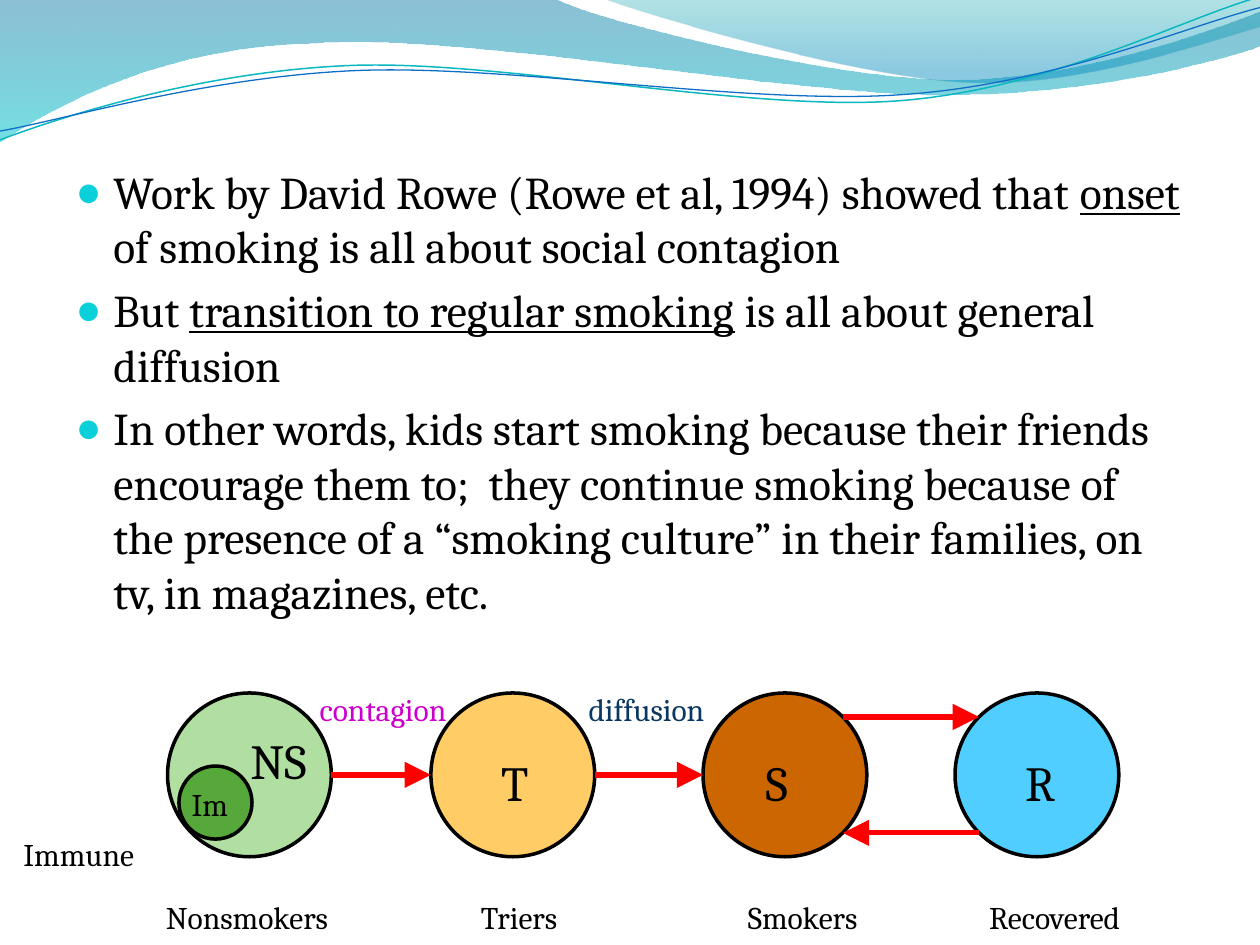
from dataclasses import dataclass
from math import cos, radians, sin

from lxml.etree import Element, SubElement
from pptx import Presentation
from pptx.dml.color import RGBColor
from pptx.enum.shapes import MSO_CONNECTOR, MSO_SHAPE
from pptx.enum.text import MSO_ANCHOR, MSO_AUTO_SIZE, PP_ALIGN
from pptx.oxml import parse_xml
from pptx.oxml.ns import nsdecls, qn
from pptx.util import Emu, Pt


@dataclass(frozen=True)
class Theme:
    """Colours, font and type sizes of the deck."""

    font: str = "Cambria"
    body: int = 26
    symbol: int = 28
    label: int = 18
    ink: str = "000000"
    bullet: str = "0BD0D9"
    arrow: str = "FF0000"
    contagion: str = "CC00CC"
    diffusion: str = "083763"
    nonsmoker: str = "B0DFA1"
    immune: str = "55A839"
    trier: str = "FFCC66"
    smoker: str = "CC6600"
    recovered: str = "4FCEFF"
    teal_line: str = "0AB8BF"
    blue_line: str = "0F6FC6"
    wide_wave: tuple = ((0, "0074A1", 45), (1, "00C6CF", 55))
    right_wave: tuple = ((0, "00A1A9", 30), (0.8, "008BBF", 45))


def px(length):
    """Turn px, at 100 to the inch, into EMU."""
    return Emu(round(length * 9144))


def turn(point, centre, degrees):
    """Turn a point clockwise about a centre."""
    across, down = point[0] - centre[0], point[1] - centre[1]
    angle = radians(degrees)
    return (centre[0] + across * cos(angle) - down * sin(angle),
            centre[1] + across * sin(angle) + down * cos(angle))


class SlideMaker:
    """Holds the theme and the current slide, and draws each kind of element."""

    def __init__(self, page, theme):
        self.page = page
        self.theme = theme

    def style(self, font, size, colour):
        """Apply the theme font with a size and colour."""
        font.name = self.theme.font
        font.size = Pt(size)
        font.color.rgb = RGBColor.from_string(colour)

    def freeform(self, start, pieces, closed):
        """Draw an outline of straight (one-point) and curved (three-point) pieces."""
        corners = [(px(x), px(y)) for piece in pieces for x, y in piece]
        builder = self.page.shapes.build_freeform(px(start[0]), px(start[1]))
        builder.add_line_segments(corners, close=closed)
        shape = builder.convert_to_shape()
        shape.shadow.inherit = False
        segments = iter(list(shape._element.iter(qn("a:lnTo"))))
        for piece in pieces:
            members = [next(segments) for _ in piece]
            if len(piece) == 3:
                curve = Element(qn("a:cubicBezTo"))
                members[0].addprevious(curve)
                for member in members:
                    curve.append(member[0])
                    member.getparent().remove(member)
        return shape

    def wave(self, start, pieces, stops):
        """Draw a see-through band shaded from top to bottom."""
        shape = self.freeform(start, pieces, True)
        shape.line.fill.background()
        shape.fill.gradient()
        shape.fill.gradient_angle = 270
        for stop, (position, colour, opacity) in zip(shape.fill.gradient_stops, stops):
            stop.position = position
            stop.color.rgb = RGBColor.from_string(colour)
        for element, stop in zip(shape._element.iter(qn("a:srgbClr")), stops):
            SubElement(element, qn("a:alpha"), val=str(stop[2] * 1000))

    def strand(self, start, pieces, centre, colour, width):
        """Draw a thin curved line in a frame tilted about its centre."""
        tilt = 2.7
        level = [[turn(point, centre, tilt) for point in piece] for piece in pieces]
        shape = self.freeform(turn(start, centre, tilt), level, False)
        shape.rotation = 360 - tilt
        shape.fill.background()
        shape.line.color.rgb = RGBColor.from_string(colour)
        shape.line.width = Pt(width)

    def bullets(self, left, top, width, height, items):
        """Fill the body placeholder; each item is (text, underlined) spans."""
        box = self.page.placeholders[1]
        self.page.shapes._spTree.append(box._element)
        box.left, box.top, box.width, box.height = map(px, (left, top, width, height))
        frame = box.text_frame
        frame.auto_size = MSO_AUTO_SIZE.NONE
        frame.vertical_anchor = MSO_ANCHOR.TOP
        for index, spans in enumerate(items):
            para = frame.add_paragraph() if index else frame.paragraphs[0]
            properties = para._p.get_or_add_pPr()
            properties.set("marL", str(px(30)))
            properties.set("indent", str(px(-30)))
            for xml in (
                f'<a:buClr {nsdecls("a")}><a:srgbClr val="{self.theme.bullet}"/></a:buClr>',
                f'<a:buSzPct {nsdecls("a")} val="95000"/>',
                f'<a:buChar {nsdecls("a")} char="●"/>',
            ):
                properties.append(parse_xml(xml))
            para.space_before = Pt(5.2 if index else 0)
            self.style(para.font, self.theme.body, self.theme.ink)
            for text, underlined in spans:
                span = para.add_run()
                span.text = text
                if underlined:
                    span.font.underline = True

    def circle(self, left, top, size, colour):
        """Draw a filled circle with a dark rim."""
        shape = self.page.shapes.add_shape(MSO_SHAPE.OVAL, px(left), px(top), px(size), px(size))
        shape.shadow.inherit = False
        shape.fill.solid()
        shape.fill.fore_color.rgb = RGBColor.from_string(colour)
        shape.line.color.rgb = RGBColor.from_string(self.theme.ink)
        shape.line.width = Pt(2)

    def arrow(self, start, end, height):
        """Draw a level arrow with a large head."""
        connector = self.page.shapes.add_connector(
            MSO_CONNECTOR.STRAIGHT, px(start), px(height), px(end), px(height))
        connector.line.color.rgb = RGBColor.from_string(self.theme.arrow)
        connector.line.width = Pt(3)
        properties = connector._element.spPr
        SubElement(properties.find(qn("a:ln")), qn("a:tailEnd"), type="triangle", w="lg", len="lg")
        SubElement(properties, qn("a:effectLst"))

    def label(self, text, left, top, width, size, colour):
        """Write one centred line of text."""
        height = 57 if size == self.theme.symbol else 40
        box = self.page.shapes.add_textbox(px(left), px(top), px(width), px(height))
        frame = box.text_frame
        frame.word_wrap = True
        frame.auto_size = MSO_AUTO_SIZE.SHAPE_TO_FIT_TEXT
        para = frame.paragraphs[0]
        para.text = text
        para.alignment = PP_ALIGN.CENTER
        self.style(para.font, size, colour)


def main():
    """Build the slide and save it."""
    deck = Presentation()
    deck.slide_width, deck.slide_height = px(1000), px(750)
    page = deck.slides.add_slide(deck.slide_layouts[1])
    title = page.shapes.title._element
    title.getparent().remove(title)
    theme = Theme()
    maker = SlideMaker(page, theme)

    maker.wave((0, 0), (
        ((440, -1),), ((476, 17), (664, 63), (758, 63)), ((853, 63), (958, 26), (1000, 9)),
        ((1001, 36),), ((983, 44), (870, 76), (746, 75)), ((622, 75), (382, 28), (257, 34)),
        ((129, 36), (46, 83), (-1, 113))), theme.wide_wave)
    maker.wave((479, -1), (
        ((509, 11), (682, 62), (769, 65)), ((856, 69), (961, 32), (1000, 21)),
        ((1000, 0),)), theme.right_wave)
    maker.strand((0, 111), (
        ((48, 93), (158, 57), (277, 52)), ((395, 47), (593, 89), (713, 80)),
        ((833, 71), (938, 15), (998, -2))), (499, 57.5), theme.teal_line, 0.85)
    maker.strand((0, 104), (
        ((47, 96), (164, 61), (283, 56)), ((403, 51), (597, 84), (717, 75)),
        ((836, 67), (941, 21), (1000, 6))), (499.5, 59), theme.blue_line, 0.75)

    maker.bullets(50, 125, 900, 480, (
        (("Work by David Rowe (Rowe et al, 1994) showed that ", False), ("onset ", True),
         ("of smoking is all about social contagion", False)),
        (("But ", False), ("transition to regular smoking", True),
         (" is all about general diffusion", False)),
        (("In other words, kids start smoking because their friends encourage them to;  they continue "
          "smoking because of the presence of a “smoking culture” in their families, on tv, "
          "in magazines, etc.", False),),
    ))

    for left, colour, name, name_left in (
        (133, theme.nonsmoker, "Nonsmokers", 92), (342, theme.trier, "Triers", 308),
        (558, theme.smoker, "Smokers", 533), (758, theme.recovered, "Recovered", 733),
    ):
        maker.circle(left, 550, 130, colour)
        maker.label(name, name_left, 708, 208, theme.label, theme.ink)
    maker.circle(142, 608, 58, theme.immune)
    for start, end, height in ((263, 342, 615), (472, 558, 615), (669, 777, 569), (777, 669, 661)):
        maker.arrow(start, end, height)
    for text, left, top, width in (("NS", 175, 575, 92), ("T", 375, 592, 67),
                                   ("S", 583, 592, 67), ("R", 792, 592, 67)):
        maker.label(text, left, top, width, theme.symbol, theme.ink)
    for text, left, top, width, colour in (
        ("Immune", 0, 658, 125, theme.ink), ("Im", 133, 618, 67, theme.ink),
        ("diffusion", 417, 543, 192, theme.diffusion), ("contagion", 208, 543, 192, theme.contagion),
    ):
        maker.label(text, left, top, width, theme.label, colour)
    deck.save("out.pptx")


if __name__ == "__main__":
    main()
